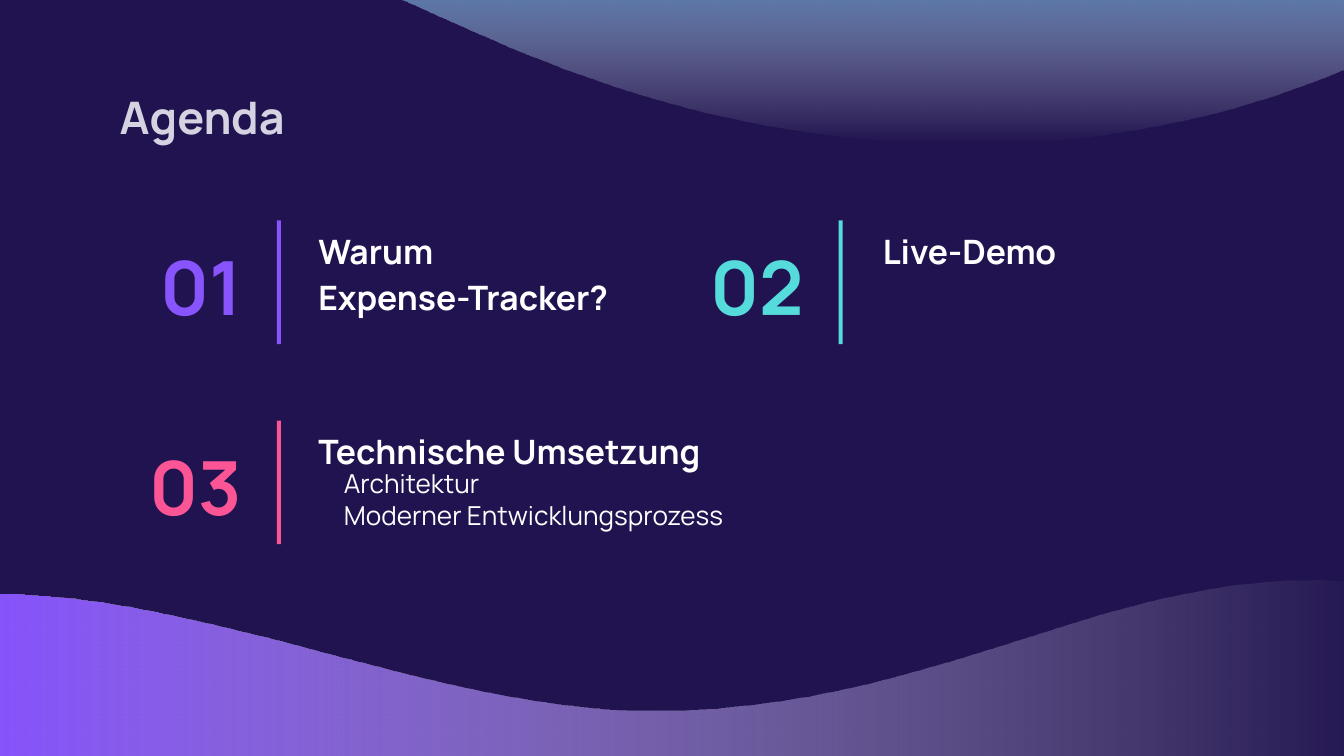
from lxml import etree
from pptx import Presentation
from pptx import util as u
from pptx.dml import color as dml
from pptx.enum import shapes, text
from pptx.oxml import ns

COLORS = {
    "night": "20134F", "mist": "D5D2E2", "white": "FFFFFF", "violet": "8854FD",
    "turquoise": "56DBDC", "pink": "FC5596", "blue": "369ADE",
}
FONT = "Manrope"

prs = Presentation()
prs.slide_width, prs.slide_height = u.Inches(10), u.Inches(10 * 9 / 16)
slide = prs.slides.add_slide(prs.slide_layouts[5])
slide.background.fill.solid()
slide.background.fill.fore_color.rgb = dml.RGBColor.from_string(COLORS["night"])


def add_wave(start, curves, corners, color, angle):
    points = [start]
    for c1, c2, end in curves:
        origin = points[-1]
        for step in range(1, 25):
            t = step / 24
            points.append(tuple(
                (1 - t) ** 3 * a + 3 * (1 - t) ** 2 * t * b + 3 * (1 - t) * t ** 2 * c + t ** 3 * d
                for a, b, c, d in zip(origin, c1, c2, end)))
    outline = [(u.Inches(x), u.Inches(y)) for x, y in points + corners]
    builder = slide.shapes.build_freeform(*outline[0])
    builder.add_line_segments(outline[1:], close=True)
    wave = builder.convert_to_shape()
    wave.shadow.inherit = False
    wave.line.fill.background()
    wave.fill.gradient()
    wave.fill.gradient_angle = angle
    for stop, name, position in zip(wave.fill.gradient_stops, (color, "white"), (0, 1)):
        stop.color.rgb = dml.RGBColor.from_string(COLORS[name])
        stop.position = position
    white = wave.element.spPr.findall(".//" + ns.qn("a:srgbClr"))[1]
    etree.SubElement(white, ns.qn("a:alpha")).set("val", "0")


def write(box, place, lines, size, color, bold=True, align="LEFT", anchor="TOP",
          spacing=1.0, indent=0):
    box.left, box.top, box.width, box.height = map(u.Inches, place)
    frame = box.text_frame
    frame.word_wrap = True
    frame.auto_size = text.MSO_AUTO_SIZE.NONE
    frame.vertical_anchor = text.MSO_ANCHOR[anchor]
    frame.margin_left = frame.margin_right = u.Inches(0.1)
    frame.margin_top = frame.margin_bottom = u.Inches(0.1)
    frame.text = lines
    for paragraph in frame.paragraphs:
        paragraph.alignment = text.PP_ALIGN[align]
        paragraph.line_spacing = spacing
        paragraph._p.get_or_add_pPr().set("marL", str(u.Inches(indent)))
        for run in paragraph.runs:
            run.font.name, run.font.size, run.font.bold = FONT, u.Pt(size), bold
            run.font.color.rgb = dml.RGBColor.from_string(COLORS[color])


add_wave((-0.04, 4.42), [
    ((1.55, 4.42), (3.27, 5.29), (4.86, 5.29)),
    ((6.86, 5.29), (8.14, 4.32), (9.74, 4.32)),
    ((9.93, 4.32), (10.11, 4.33), (10.3, 4.36)),
], [(10.3, 6.19), (-0.04, 6.19)], "violet", 0)
add_wave((10.35, 0.35), [
    ((9.38, 0.84), (8.23, 1.07), (7.23, 1.07)),
    ((5.93, 1.07), (4.83, 0.79), (3.79, 0.35)),
    ((2.7, -0.11), (1.8, -0.63), (0.56, -0.63)),
], [(0.01, -0.57), (0.01, -0.8), (10.35, -0.8)], "blue", 270)

write(slide.shapes.title, (0.79, 0.59, 8.42, 0.55), "Agenda", 24, "mist", anchor="MIDDLE")

agenda = [
    ("Warum \vExpense-Tracker?", "violet", 0, 0, 2.76, 0.1),
    ("Live-Demo", "turquoise", 1, 0, 2.76, 0.12),
    ("Technische Umsetzung", "pink", 0, 1, 6.94, 0.1),
]
for number, (topic, color, column, row, width, indent) in enumerate(agenda, 1):
    left, top = 0.89 + 4.18 * column, 1.64 + 1.49 * row
    write(slide.shapes.add_textbox(0, 0, 0, 0), (left, top, 1.01, 0.92),
          f"{number:02}", 40, color, align="RIGHT", anchor="BOTTOM")
    write(slide.shapes.add_textbox(0, 0, 0, 0), (left + 1.28, top - 0.07, width, 0.99),
          topic, 18, "white", spacing=1.15, indent=indent)
    divider = slide.shapes.add_shape(
        shapes.MSO_SHAPE.RECTANGLE,
        *map(u.Inches, (left + 1.17, top, 0.03, 0.92)))
    divider.shadow.inherit = False
    divider.fill.solid()
    divider.fill.fore_color.rgb = dml.RGBColor.from_string(COLORS[color])
    divider.line.fill.background()

write(slide.shapes.add_textbox(0, 0, 0, 0), (2.17, 3.38, 6.94, 1.95),
      "Architektur\nModerner Entwicklungsprozess", 14, "white", bold=False, indent=0.29)

prs.save("out.pptx")
